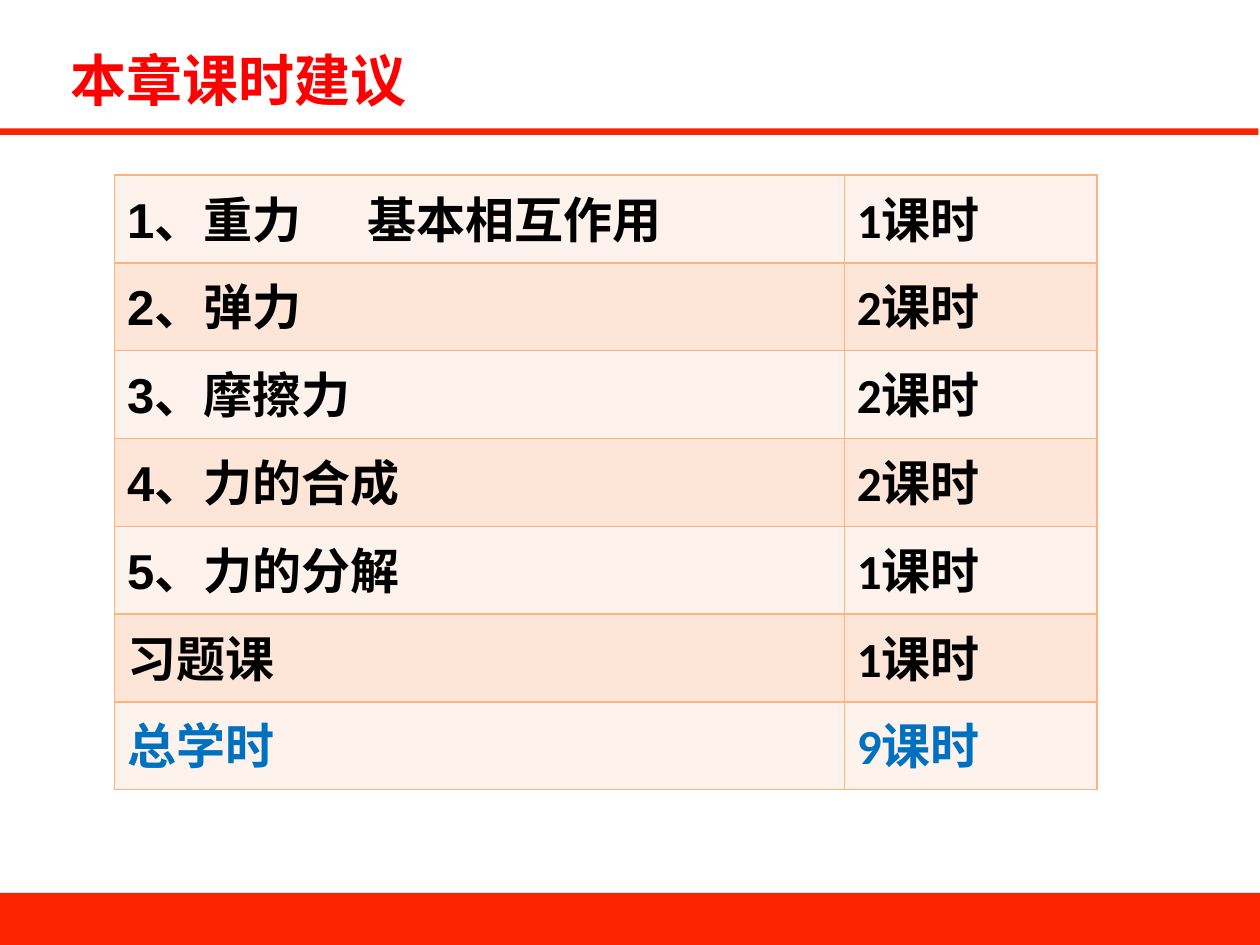
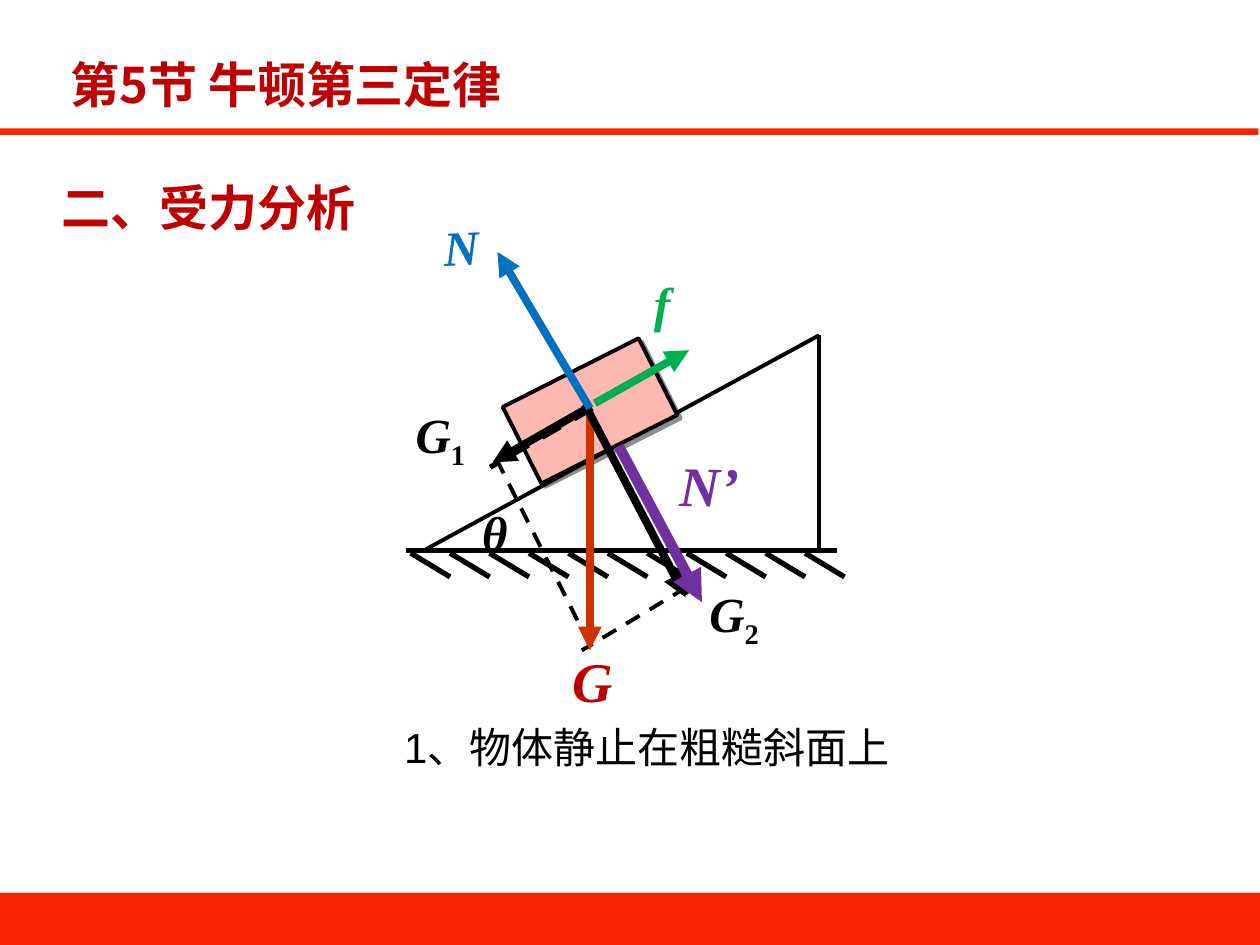
import dataclasses

import lxml.etree
import pptx
import pptx.dml.color
import pptx.enum.dml
import pptx.enum.shapes
import pptx.enum.text
import pptx.oxml.ns
import pptx.util

Cm = pptx.util.Cm
RED = "FA2400"
DARK = "C00000"
BLACK = "000000"
BLUE = "0070C0"
HAN = "Noto Sans CJK SC"
SERIF = "Times New Roman"


@dataclasses.dataclass(frozen=True)
class Style:
    size: float
    font: str
    hue: str = BLACK
    bold: bool = True
    slant: bool = False


@dataclasses.dataclass(frozen=True)
class Line:
    start: tuple[float, float]
    end: tuple[float, float]
    width: float = 2.25
    hue: str = BLACK
    dash: bool = False
    arrow: bool = False


@dataclasses.dataclass(frozen=True)
class Label:
    text: str
    box: tuple[float, float, float, float]
    hue: str = BLACK
    size: float = 28
    sub: str = ""
    turn: float = 0
    wrap: bool = False


@dataclasses.dataclass(frozen=True)
class Row:
    topic: str
    hours: int
    hue: str = BLACK
    font: str = "Arial"


ROWS = [
    Row("1、重力\t基本相互作用", 1),
    Row("2、弹力", 2),
    Row("3、摩擦力", 2),
    Row("4、力的合成", 2),
    Row("5、力的分解", 1),
    Row("习题课", 1),
    Row("总学时", 9, BLUE, "Calibri"),
]

HATCH = 10
LEFT, RIGHT = 8.28, 16.23
STEP = (RIGHT - LEFT) / HATCH
GROUND = [
    Line((11.89, 13), (10.03, 9.3), dash=True),
    Line((13.84, 11.84), (11.73, 13.11), dash=True),
    *(Line((LEFT + i * STEP, 11.15), (LEFT + (i + 1) * STEP, 11.63), 3)
      for i in range(HATCH + 1)),
    Line((16.87, 11.1), (8.18, 11.1), 3),
    Line((8.59, 11.07), (16.51, 6.76)),
    Line((16.51, 6.76), (16.51, 11.13)),
]
FORCES = [
    Line((11.89, 8.36), (11.89, 13.11), 4.5, "CC3300", arrow=True),
    Line((11.91, 8.41), (13.84, 11.99), 3, dash=True),
    Line((11.94, 8.23), (9.88, 9.42), 3, dash=True),
    Line((11.79, 8.15), (13.82, 12.04), 4.5, arrow=True),
    Line((11.84, 8.23), (9.93, 9.32), 4.5, arrow=True),
    Line((11.89, 8.23), (10.03, 5.08), 4.5, BLUE, arrow=True),
    Line((11.99, 8.13), (13.89, 7.06), 4.5, "00B050", arrow=True),
    Line((12.47, 8.99), (14.15, 12.14), 6, "7030A0", arrow=True),
]
LABELS = [
    Label("G", (11.3, 12.9, 1.47, 1.6), DARK, 32, wrap=True),
    Label("θ", (9.47, 10.01, 1.07, 1.45)),
    Label("G", (14.05, 11.63, 1.57, 1.45), sub="2"),
    Label("G", (8.13, 8.03, 1.9, 1.45), sub="1", wrap=True),
    Label("N", (8.69, 4.24, 1.24, 1.45), BLUE, turn=-2.5),
    Label("f", (12.93, 5.38, 1.9, 1.45), "00B050", wrap=True),
    Label("N’", (13.46, 8.97, 1.73, 1.63), "7030A0", 32, turn=1),
]


def tint(hue: str) -> pptx.dml.color.RGBColor:
    return pptx.dml.color.RGBColor.from_string(hue)


def child(node, tag: str, **attrs: str):
    return lxml.etree.SubElement(node, pptx.oxml.ns.qn(tag), attrs)


def format_run(run, style: Style) -> None:
    font = run.font
    font.size = pptx.util.Pt(style.size)
    font.name = style.font
    font.bold = style.bold
    font.italic = style.slant
    font.color.rgb = tint(style.hue)
    child(run._r.get_or_add_rPr(), "a:ea", typeface=HAN)


def add_text(slide, text: str, box: tuple, style: Style,
             space: float = 1.0, wrap: bool = True):
    shape = slide.shapes.add_textbox(*map(Cm, box))
    frame = shape.text_frame
    frame.word_wrap = wrap
    frame.text = text
    first = frame.paragraphs[0]
    first.line_spacing = space
    format_run(first.runs[0], style)
    return shape


def add_band(slide, *box: float) -> None:
    band = slide.shapes.add_shape(
        pptx.enum.shapes.MSO_SHAPE.RECTANGLE, *map(Cm, box))
    band.shadow.inherit = False
    band.fill.solid()
    band.fill.fore_color.rgb = tint(RED)
    band.line.fill.background()


def add_page(deck, title: str, style: Style):
    slide = deck.slides.add_slide(deck.slide_layouts[6])
    add_band(slide, 0, 18, 25.4, 1.06)
    add_band(slide, -0.03, 2.59, 25.4, 0.13)
    head = add_text(slide, title, (1.17, 0.46, 23.04, 1.96), style, 0.9)
    head.text_frame.vertical_anchor = pptx.enum.text.MSO_ANCHOR.BOTTOM
    return slide


def add_line(slide, line: Line) -> None:
    stroke = slide.shapes.add_connector(
        pptx.enum.shapes.MSO_CONNECTOR.STRAIGHT,
        *map(Cm, line.start + line.end))
    stroke.line.width = pptx.util.Pt(line.width)
    stroke.line.color.rgb = tint(line.hue)
    if line.dash:
        stroke.line.dash_style = pptx.enum.dml.MSO_LINE.DASH
    if line.arrow:
        child(stroke.line._get_or_add_ln(), "a:tailEnd", type="triangle")
    child(stroke._element.spPr, "a:effectLst")


def add_label(slide, label: Label) -> None:
    style = Style(label.size, SERIF, label.hue, slant=True)
    shape = add_text(slide, label.text, label.box, style, wrap=label.wrap)
    shape.rotation = label.turn
    if label.sub:
        run = shape.text_frame.paragraphs[0].add_run()
        run.text = label.sub
        format_run(run, dataclasses.replace(style, slant=False))
        run._r.get_or_add_rPr().set("baseline", "-25000")


def add_block(slide) -> None:
    block = slide.shapes.add_shape(
        pptx.enum.shapes.MSO_SHAPE.RECTANGLE,
        *map(Cm, (10.36, 7.42, 3.07, 1.73)))
    block.rotation = 333.2
    block.fill.solid()
    block.fill.fore_color.rgb = tint("FDB8B2")
    block.line.color.rgb = tint(BLACK)
    block.line.width = pptx.util.Pt(2.25)
    block.shadow.inherit = False
    glow = block._element.spPr.find(pptx.oxml.ns.qn("a:effectLst"))
    shade = child(glow, "a:outerShdw", dist=str(pptx.util.Pt(2.8)),
                  dir="2700000", algn="ctr", rotWithShape="0")
    child(child(shade, "a:srgbClr", val="1C1C1C"), "a:alpha", val="50000")


def fill_cell(cell, text: str, style: Style, back: str) -> None:
    props = cell._tc.get_or_add_tcPr()
    for side in "LRTB":
        edge = child(props, f"a:ln{side}", w=str(pptx.util.Pt(1)))
        child(child(edge, "a:solidFill"), "a:srgbClr", val="FAB480")
    cell.fill.solid()
    cell.fill.fore_color.rgb = tint(back)
    first = cell.text_frame.paragraphs[0]
    if "\t" in text:
        tabs = child(first._p.get_or_add_pPr(), "a:tabLst")
        child(tabs, "a:tab", pos=str(Cm(4.85)), algn="l")
    first.text = text
    for run in first.runs:
        format_run(run, style)


def add_hours(slide) -> None:
    high = 1.77
    table = slide.shapes.add_table(
        len(ROWS), 2, *map(Cm, (2.31, 3.53, 19.81, high * len(ROWS)))).table
    table.first_row = table.horz_banding = False
    for col, wide in zip(table.columns, (14.71, 5.1)):
        col.width = Cm(wide)
    for i, row in enumerate(ROWS):
        table.rows[i].height = Cm(high)
        back = ("FEF2ED", "FDE5D8")[i % 2]
        fill_cell(table.cell(i, 0), row.topic, Style(28, row.font, row.hue), back)
        fill_cell(table.cell(i, 1), f"{row.hours}课时",
                  Style(28, "Calibri", row.hue), back)


def main() -> None:
    deck = pptx.Presentation()
    deck.slide_width, deck.slide_height = Cm(25.4), Cm(19.05)

    plan = add_page(deck, "本章课时建议", Style(32, "Calibri", "FF0000"))
    add_hours(plan)

    slope = add_page(deck, "第5节 牛顿第三定律", Style(28, HAN, DARK))
    add_text(slope, "二、受力分析", (0.99, 3.1, 9.8, 1.65),
             Style(28, "Arial", DARK), 1.3)
    for line in GROUND:
        add_line(slope, line)
    add_block(slope)
    for line in FORCES:
        add_line(slope, line)
    for label in LABELS:
        add_label(slope, label)
    add_text(slope, "1、物体静止在粗糙斜面上", (7.9, 14.12, 11.13, 1.6),
             Style(24, "Arial", bold=False), 1.3)
    deck.save("out.pptx")


if __name__ == "__main__":
    main()
